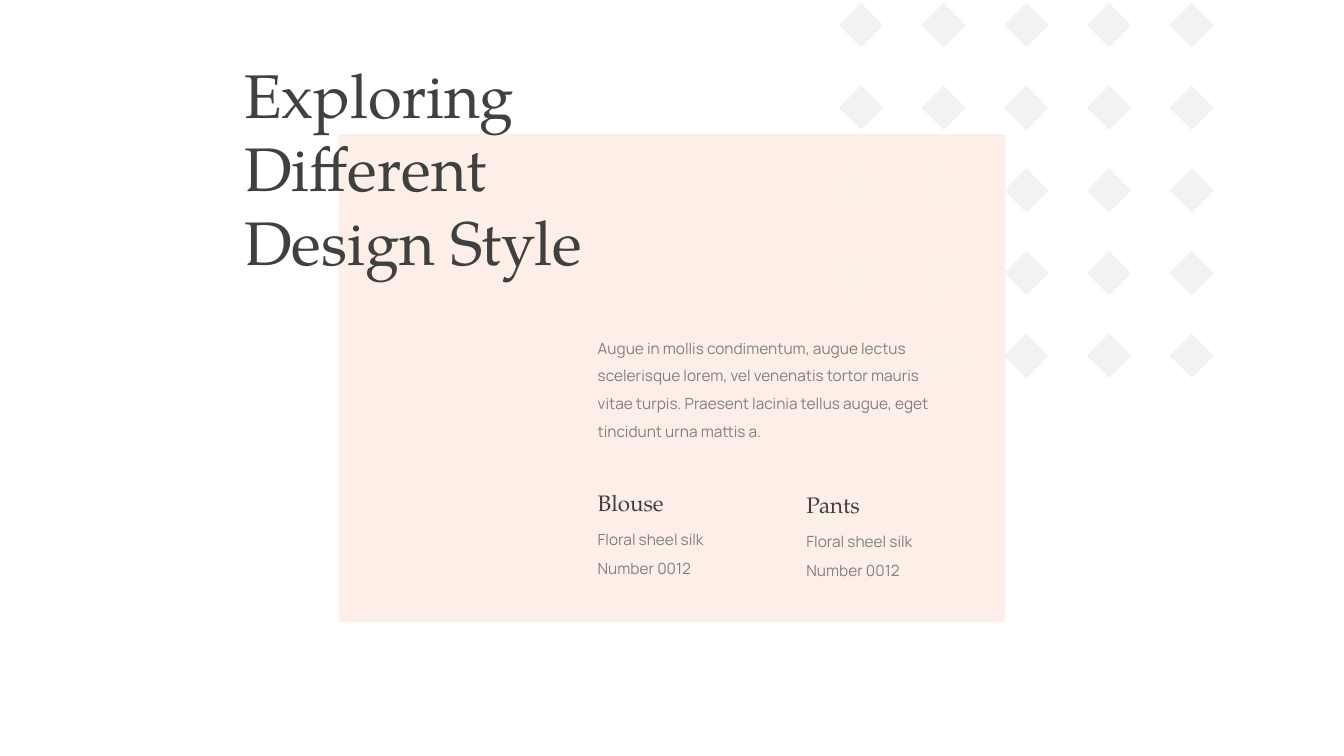
from itertools import product

from lxml.etree import SubElement
from pptx import Presentation
from pptx.dml.color import RGBColor
from pptx.enum.shapes import MSO_SHAPE
from pptx.enum.text import MSO_ANCHOR, PP_ALIGN
from pptx.oxml.ns import qn
from pptx.util import Inches, Pt

SERIF, SANS = "TeX Gyre Pagella", "Manrope"
DARK, GREY, PALE, BLUSH = "404040", "808080", "F2F2F2", "FDEFE6"


def color(code):
    """Turn a hex string into a colour."""
    return RGBColor.from_string(code)


class Page:
    """Hold the slide and draw its elements in one style."""

    def __init__(self, deck):
        """Add a title-only slide."""
        self.slide = deck.slides.add_slide(deck.slide_layouts[5])
        self.shapes = self.slide.shapes

    def shape(self, kind, box, fill, host=None, alpha=100):
        """Add a plain filled shape, in a group if one is given."""
        host = host or self.shapes
        item = host.add_shape(kind, *map(Inches, box))
        item.shadow.inherit = False
        item.fill.solid()
        item.fill.fore_color.rgb = color(fill)
        item.line.fill.background()
        if alpha < 100:
            tone = item.fill._xPr.find(".//" + qn("a:srgbClr"))
            SubElement(tone, qn("a:alpha"), val=str(alpha * 1000))

    def style(self, item, text, size, font, ink, space):
        """Fill a text shape and format it."""
        frame = item.text_frame
        frame.text = text
        frame.word_wrap = True
        frame.vertical_anchor = MSO_ANCHOR.TOP
        for para in frame.paragraphs:
            para.alignment = PP_ALIGN.LEFT
            para.line_spacing = space
            for run in para.runs:
                run.font.size = Pt(size)
                run.font.name = font
                run.font.color.rgb = color(ink)

    def text(self, box, text, size=11, font=SANS, ink=GREY):
        """Add a text box."""
        item = self.shapes.add_textbox(*map(Inches, box))
        self.style(item, text, size, font, ink, 1.5)

    def title(self, box, text):
        """Place the title in front of everything drawn so far."""
        item = self.shapes.title
        item.left, item.top, item.width, item.height = map(Inches, box)
        self.style(item, text, 44, SERIF, DARK, 1.0)
        self.shapes._spTree.append(item._element)

    def grid(self, left, top, count, step, size):
        """Add a grouped square grid of diamonds."""
        group = self.shapes.add_group_shape().shapes
        for row, col in product(range(count), repeat=2):
            box = (left + col * step, top + row * step, size, size)
            self.shape(MSO_SHAPE.DIAMOND, box, PALE, group)

    def piece(self, left, top, name, lines):
        """Add a garment heading with its detail lines."""
        self.text((left, top, 1.75, 0.48), name, 16, SERIF, DARK)
        for row, line in enumerate(lines):
            self.text((left, top + 0.45 + row * 0.29, 2.07, 0.38), line)


deck = Presentation()
deck.slide_width, deck.slide_height = Inches(13.33), Inches(7.5)

page = Page(deck)
page.grid(8.32, 0.03, count=5, step=0.82, size=0.44)
page.shape(MSO_SHAPE.RECTANGLE, (3.36, 1.33, 6.61, 4.84), BLUSH, alpha=95)
details = ["Floral sheel silk", "Number 0012"]
page.piece(5.83, 4.67, "Blouse", details)
page.piece(7.9, 4.69, "Pants", details)
page.text(
    (5.83, 3.22, 3.66, 1.21),
    "Augue in mollis condimentum, augue lectus scelerisque lorem, "
    "vel venenatis tortor mauris vitae turpis. Praesent lacinia tellus "
    "augue, eget tincidunt urna mattis a.",
)
page.title((2.32, 0.51, 4.28, 2.32), "Exploring Different Design Style")
deck.save("out.pptx")
